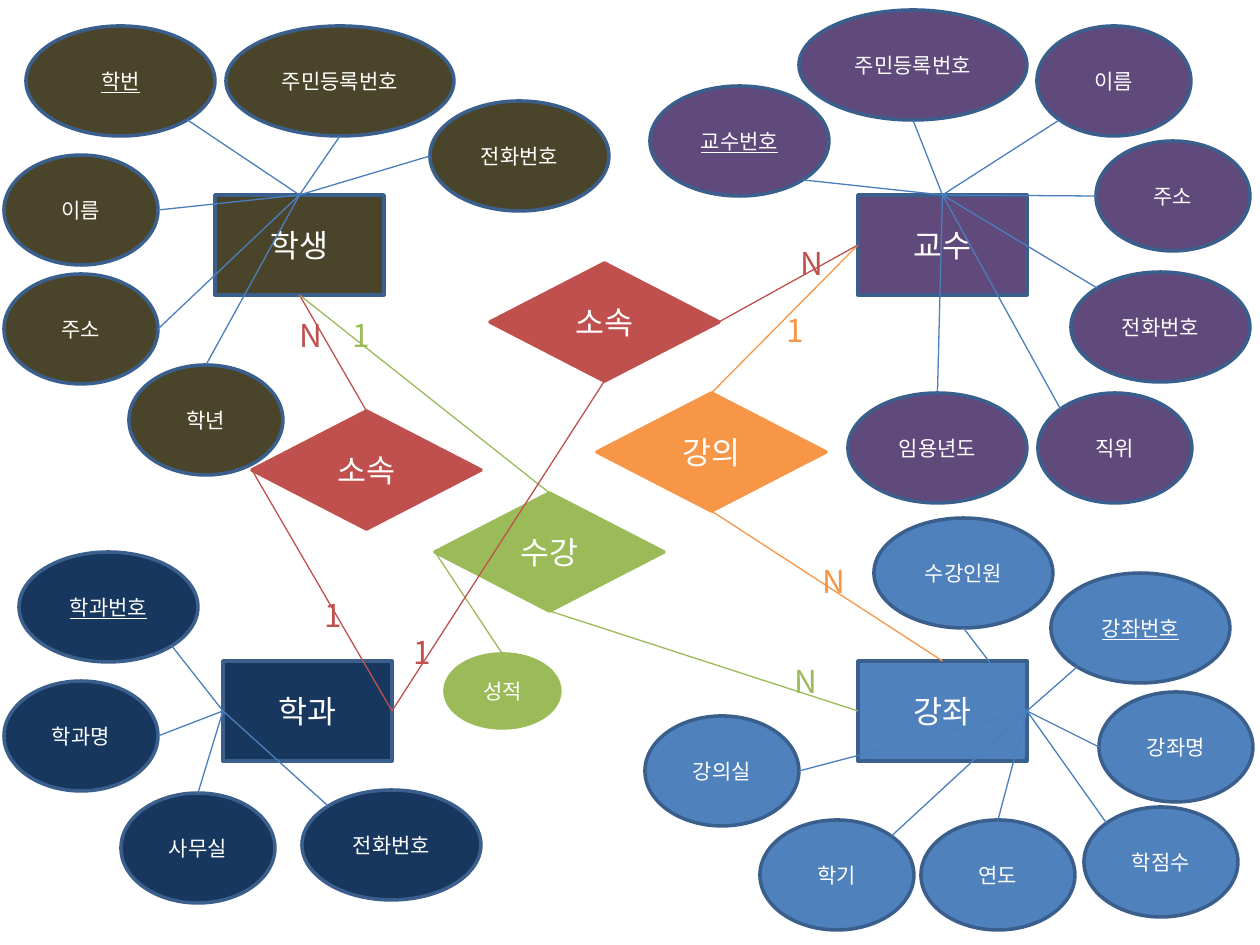
from math import sqrt
from lxml.etree import SubElement
from pptx import Presentation
from pptx.dml.color import RGBColor
from pptx.enum.shapes import MSO_CONNECTOR as Connector, MSO_SHAPE as Shape
from pptx.enum.text import MSO_ANCHOR as Anchor, MSO_AUTO_SIZE as AutoSize, PP_ALIGN as Align
from pptx.oxml.ns import qn
from pptx.util import Pt

PIXEL = 914400 // 126
FONT = "Noto Sans CJK KR"
WHITE, OUTLINE, LINK = "FFFFFF", "3A5F8C", "4B7EBC"
RED, ORANGE, GREEN = "C0504D", "F79646", "9BBB59"
ENTITY_SIZE, DIAMOND_SIZE, LABEL_SIZE = (169, 100), (229, 118), (49, 50)
SMALL, MEDIUM, LARGE, WIDE = 154, 179, 189, 228
OVAL_HEIGHT = 110

# Entities: name, fill, left, top, site of the links, and
# attributes (name, left, top, width, site); the first one is the key
ENTITIES = [
    ("학생", "4A452A", 215, 195, "top", [
        ("학번", 26, 26, LARGE, "bottom right"),
        ("주민등록번호", 226, 26, WIDE, "bottom"),
        ("이름", 4, 155, SMALL, "right"),
        ("주소", 4, 274, SMALL, "right"),
        ("전화번호", 430, 101, MEDIUM, "left"),
        ("학년", 129, 365, SMALL, "top")]),
    ("교수", "604A7B", 858, 195, "top", [
        ("교수번호", 650, 86, MEDIUM, "bottom right"),
        ("주민등록번호", 799, 10, WIDE, "bottom"),
        ("이름", 1037, 26, SMALL, "bottom left"),
        ("주소", 1096, 141, SMALL, "left"),
        ("전화번호", 1071, 272, MEDIUM, "top left"),
        ("직위", 1038, 393, SMALL, "top left"),
        ("임용년도", 848, 393, MEDIUM, "top")]),
    ("학과", "17375E", 223, 661, "left", [
        ("학과번호", 19, 552, MEDIUM, "bottom right"),
        ("학과명", 4, 681, SMALL, "right"),
        ("사무실", 121, 793, SMALL, "top"),
        ("전화번호", 302, 790, MEDIUM, "top left")]),
    ("강좌", "4F81BD", 858, 661, "right", [
        ("강좌번호", 1051, 573, MEDIUM, "bottom left"),
        ("강좌명", 1099, 692, SMALL, "left"),
        ("학점수", 1084, 807, SMALL, "top left"),
        ("연도", 921, 820, SMALL, "top"),
        ("학기", 760, 820, SMALL, "top right"),
        ("강의실", 645, 716, SMALL, "right"),
        ("수강인원", 874, 518, MEDIUM, "bottom")]),
]

# Relations: name, colour, left, top,
# links (own site, target, target site), labels (text, left, top)
GRADE = ("성적", 445, 654, 115, 74)
RELATIONS = [
    ("강의", ORANGE, 597, 393,
     [("top", "교수", "left"), ("bottom", "강좌", "top")],
     [("1", 774, 305), ("N", 810, 556)]),
    ("수강", GREEN, 435, 493,
     [("top", "학생", "bottom"), ("bottom", "강좌", "left"), ("left", "성적", "top")],
     [("1", 340, 310), ("N", 782, 656)]),
    ("소속", RED, 252, 411,
     [("top", "학생", "bottom"), ("left", "학과", "right")],
     [("N", 287, 310), ("1", 312, 590)]),
    ("소속", RED, 490, 263,
     [("right", "교수", "left"), ("bottom", "학과", "right")],
     [("N", 788, 238), ("1", 401, 627)]),
]


def color(value):
    return RGBColor.from_string(value)


def write(box, text, size, text_color, align, underline=None):
    para = box.text_frame.paragraphs[0]
    para.text = text
    para.alignment = align
    font = para.font
    font.name, font.size, font.underline = FONT, Pt(size), underline
    font.color.rgb = color(text_color)
    defaults = para._p.pPr.find(qn("a:defRPr"))
    SubElement(defaults, qn("a:ea"), typeface=FONT)


def add_node(kind, text, bounds, fill, outline, size, underline=None):
    node = page.shapes.add_shape(kind, *(value * PIXEL for value in bounds))
    node.shadow.inherit = False
    node.fill.solid()
    node.fill.fore_color.rgb = color(fill)
    node.line.color.rgb = color(outline)
    node.line.width = Pt(2)
    node.text_frame.word_wrap = True
    node.text_frame.vertical_anchor = Anchor.MIDDLE
    write(node, text, size, WHITE, Align.CENTER, underline)
    return node


def site_point(node, site):
    """Point on the edge of a node; corner sites lie on an oval's diagonals."""
    across = ("right" in site) - ("left" in site)
    down = ("bottom" in site) - ("top" in site)
    reach = 2 * sqrt(across ** 2 + down ** 2)
    return (round(node.left + node.width * (0.5 + across / reach)),
            round(node.top + node.height * (0.5 + down / reach)))


def add_link(start, start_site, end, end_site, line_color):
    link = page.shapes.add_connector(
        Connector.STRAIGHT, *site_point(start, start_site), *site_point(end, end_site))
    link.line.color.rgb = color(line_color)
    link.line.width = Pt(0.75)
    SubElement(link._element.spPr, qn("a:effectLst"))


def add_label(text, left, top, text_color):
    box = page.shapes.add_textbox(*(value * PIXEL for value in (left, top, *LABEL_SIZE)))
    box.text_frame.word_wrap = True
    box.text_frame.auto_size = AutoSize.SHAPE_TO_FIT_TEXT
    write(box, text, 18, text_color, Align.LEFT)


deck = Presentation()
deck.slide_width, deck.slide_height = 1260 * PIXEL, 945 * PIXEL
page = deck.slides.add_slide(deck.slide_layouts[6])

# Entities with their attributes
targets = {}
for name, fill, left, top, hub, attributes in ENTITIES:
    entity = add_node(Shape.RECTANGLE, name, (left, top, *ENTITY_SIZE), fill, OUTLINE, 18)
    targets[name] = entity
    ovals = [
        (add_node(Shape.OVAL, label, (x, y, width, OVAL_HEIGHT), fill, OUTLINE, 12,
                  True if index == 0 else None), site)
        for index, (label, x, y, width, site) in enumerate(attributes)]
    for oval, site in ovals:
        add_link(oval, site, entity, hub, LINK)

# Attribute of the enrolment relation
targets[GRADE[0]] = add_node(Shape.OVAL, GRADE[0], GRADE[1:], GREEN, GREEN, 12)

# Relations with their links and cardinalities
for name, tone, left, top, links, labels in RELATIONS:
    diamond = add_node(Shape.DIAMOND, name, (left, top, *DIAMOND_SIZE), tone, tone, 18)
    for site, target, target_site in links:
        add_link(diamond, site, targets[target], target_site, tone)
    for text, x, y in labels:
        add_label(text, x, y, tone)

deck.save("out.pptx")
